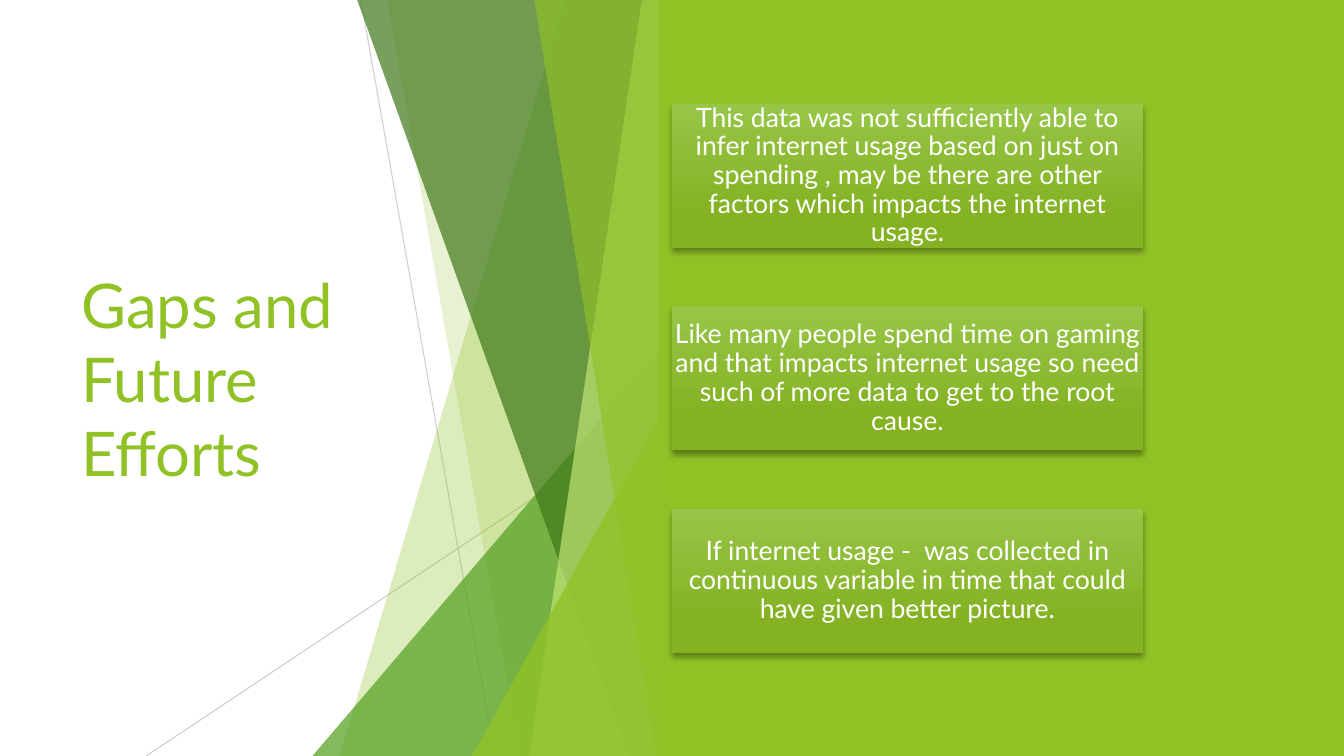
from dataclasses import dataclass

from pptx import Presentation
from pptx.dml.color import RGBColor
from pptx.enum.shapes import MSO_CONNECTOR, MSO_SHAPE
from pptx.enum.text import MSO_ANCHOR, PP_ALIGN
from pptx.oxml import parse_xml
from pptx.oxml.ns import nsdecls, qn
from pptx.slide import Slide
from pptx.util import Pt

COLORS = {
    "lime": "90C226",
    "green": "54A021",
    "forest": "3F7819",
    "pale": "C0E474",
    "gray": "BFBFBF",
    "white": "FFFFFF",
    "light": "97C547",
    "deep": "84B223",
    "black": "000000",
}
WIDE, HIGH = 960, 540
EDGE = 479.5
RISE = -0.7

# Kind, left points (top and foot, or triangle left and top), colour, opacity
FACETS = [
    ("band", 403.9, 242.6, "lime", 30),
    ("band", 276.5, 371.5, "lime", 20),
    ("wedge", 223.2, 239.8, "green", 72),
    ("band", 254.9, 449.3, "forest", 70),
    ("band", 458.6, 378, "pale", 70),
    ("band", 381.6, 468.7, "lime", 65),
    ("wedge", 337, 283, "lime", 80),
]
RAYS = [
    ((257.8, 0), (353.5, HIGH), 75),
    ((EDGE, 290.2), (104.4, HIGH), 80),
]
CARDS = [
    "This data was not sufficiently able to infer internet usage based on just on "
    "spending , may be there are other factors which impacts the internet usage.",
    "Like many people spend time on gaming and that impacts internet usage so need "
    "such of more data to get to the root cause.",
    "If internet usage -  was collected in continuous variable in time that could "
    "have given better picture.",
]
CARD_TOP, CARD_STEP = 74.2, 144.7


def rgb(name):
    return RGBColor.from_string(COLORS[name])


def fade(shape, alpha):
    """Set the opacity, in percent, of the first colour of a shape."""
    color = shape._element.spPr.find(".//" + qn("a:srgbClr"))
    color.append(parse_xml(f'<a:alpha {nsdecls("a")} val="{alpha * 1000}"/>'))


def write(frame, text, *, size, font, color, align=PP_ALIGN.LEFT, space=None,
          inset=(7.2, 3.6, 7.2, 3.6)):
    frame.word_wrap = True
    frame.vertical_anchor = MSO_ANCHOR.MIDDLE
    (frame.margin_left, frame.margin_top,
     frame.margin_right, frame.margin_bottom) = map(Pt, inset)
    para = frame.paragraphs[0]
    para.alignment = align
    para.line_spacing = space
    run = para.add_run()
    run.text = text
    run.font.size = Pt(size)
    run.font.name = font
    run.font.color.rgb = rgb(color)


@dataclass
class Deck:
    slide: Slide
    font: str = "Lato"

    def paint(self, shape, color, alpha=100):
        shape.shadow.inherit = False
        shape.line.fill.background()
        shape.fill.solid()
        shape.fill.fore_color.rgb = rgb(color)
        if alpha < 100:
            fade(shape, alpha)

    def shape(self, kind, left, top, width, height):
        return self.slide.shapes.add_shape(
            kind, Pt(left), Pt(top), Pt(width), Pt(height))

    def ray(self, start, end, alpha):
        line = self.slide.shapes.add_connector(
            MSO_CONNECTOR.STRAIGHT, *map(Pt, start + end))
        line.line.width = Pt(0.75)
        line.line.color.rgb = rgb("gray")
        fade(line, alpha)
        line._element.spPr.append(parse_xml(f'<a:effectLst {nsdecls("a")}/>'))

    def band(self, top, foot, color, alpha):
        """Draw a full-height facet whose left side slants from top to foot."""
        form = self.slide.shapes.build_freeform(Pt(top), Pt(RISE))
        corners = [(EDGE, RISE), (EDGE, HIGH), (foot, HIGH)]
        form.add_line_segments([(Pt(x), Pt(y)) for x, y in corners], close=True)
        self.paint(form.convert_to_shape(), color, alpha)

    def wedge(self, left, top, color, alpha):
        """Draw a triangle that stands on the slide foot with its peak at right."""
        peak = self.shape(MSO_SHAPE.ISOSCELES_TRIANGLE,
                          left, top, EDGE - left, HIGH - top)
        peak.adjustments[0] = 1
        self.paint(peak, color, alpha)

    def panel(self, left):
        self.paint(self.shape(MSO_SHAPE.RECTANGLE, left, 0, WIDE - left, HIGH), "lime")

    def title(self, text):
        box = self.slide.shapes.add_textbox(Pt(51), Pt(108.7), Pt(279.4), Pt(322.6))
        write(box.text_frame, text, size=44, font=self.font, color="lime",
              inset=(7.2, 3.6, 16, 3.6))

    def card(self, top, text):
        card = self.shape(MSO_SHAPE.RECTANGLE, 480, top, 336.4, 102.9)
        self.paint(card, "light")
        card.fill.gradient()
        card.fill.gradient_angle = 270
        stops = zip(card.fill.gradient_stops, (0, 0.78), ("light", "deep"))
        for stop, place, color in stops:
            stop.position = place
            stop.color.rgb = rgb(color)
        card._element.spPr.find(qn("a:effectLst")).append(parse_xml(
            f'<a:outerShdw {nsdecls("a")} blurRad="{Pt(4)}" dist="{Pt(3)}" '
            f'dir="5400000" rotWithShape="0"><a:srgbClr val="{COLORS["black"]}">'
            '<a:alpha val="35000"/></a:srgbClr></a:outerShdw>'))
        write(card.text_frame, text, size=19, font=self.font, color="white",
              align=PP_ALIGN.CENTER, space=0.9, inset=(0.95,) * 4)


def main():
    show = Presentation()
    show.slide_width, show.slide_height = Pt(WIDE), Pt(HIGH)
    deck = Deck(show.slides.add_slide(show.slide_layouts[6]))
    deck.title("Gaps and Future Efforts")
    for ray in RAYS:
        deck.ray(*ray)
    draw = {"band": deck.band, "wedge": deck.wedge}
    for kind, *facet in FACETS:
        draw[kind](*facet)
    deck.panel(470.7)
    for row, text in enumerate(CARDS):
        deck.card(CARD_TOP + row * CARD_STEP, text)
    show.save("out.pptx")


if __name__ == "__main__":
    main()
